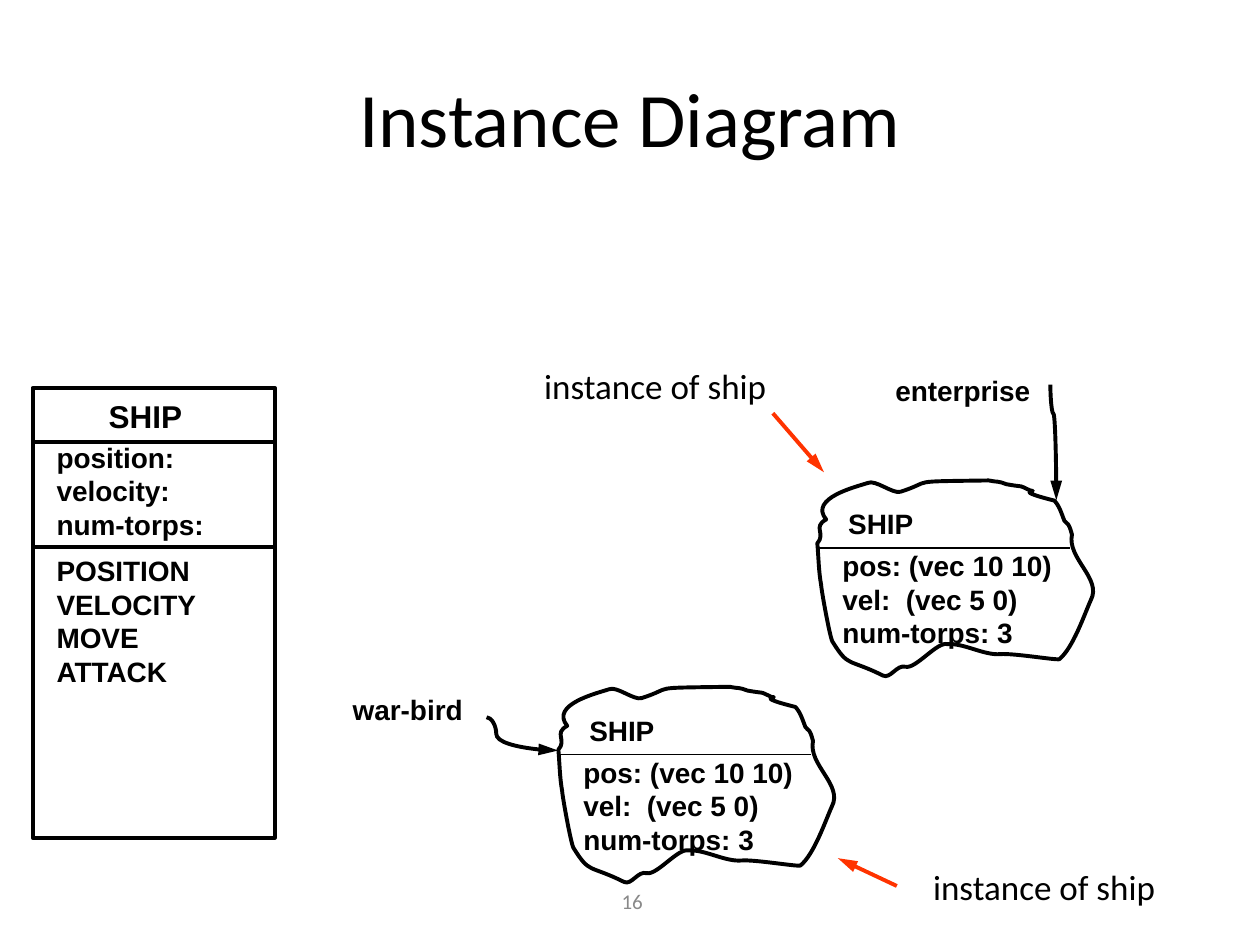
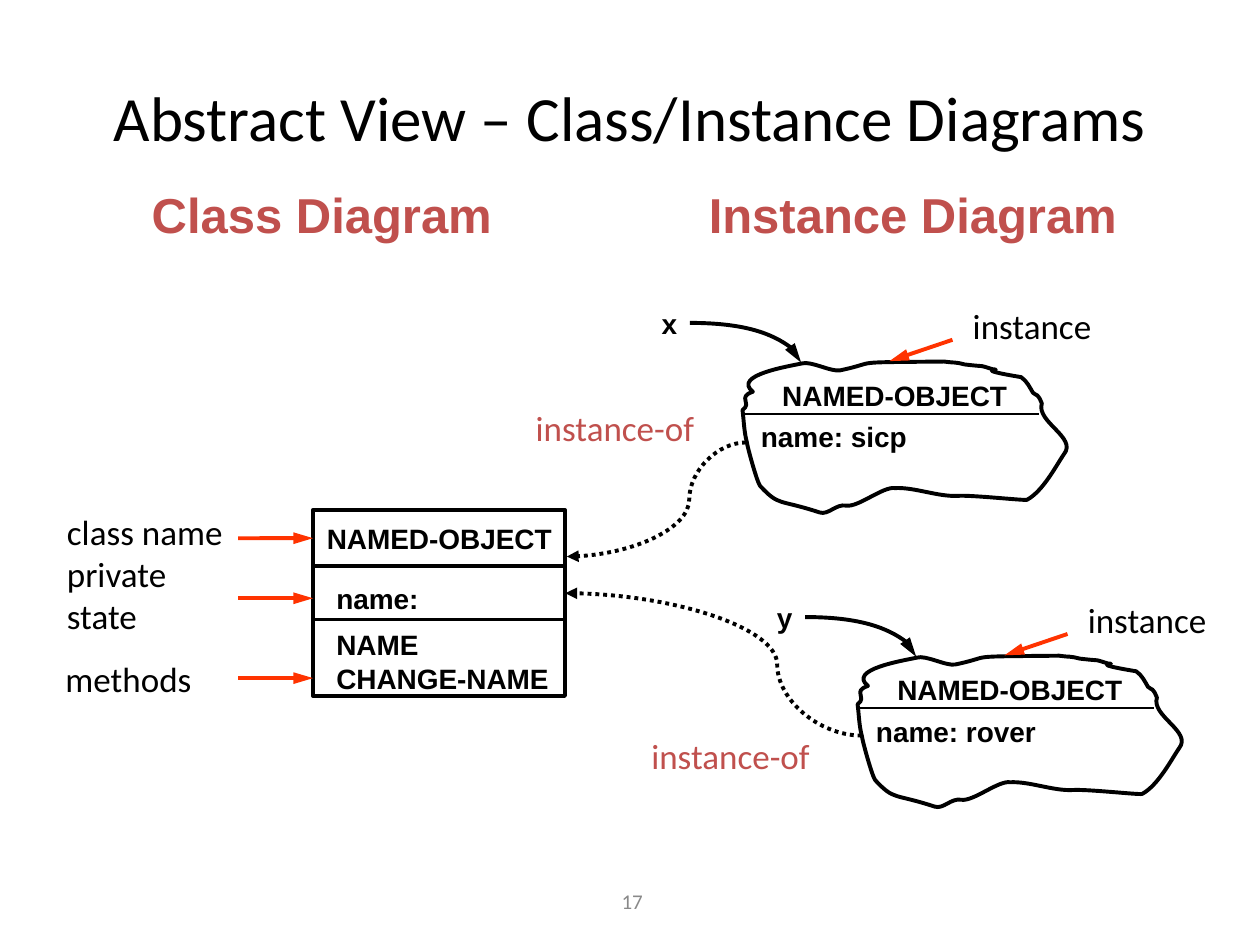
from lxml import etree
from pptx import Presentation
from pptx.dml.color import RGBColor
from pptx.enum.dml import MSO_LINE
from pptx.enum.shapes import MSO_CONNECTOR, MSO_SHAPE
from pptx.enum.text import MSO_ANCHOR, PP_ALIGN
from pptx.oxml.ns import qn
from pptx.util import Cm, Pt

BLACK = RGBColor(0x00, 0x00, 0x00)
GREY = RGBColor(0x89, 0x89, 0x89)
BRICK = RGBColor(0xC0, 0x50, 0x4D)
ORANGE = RGBColor(0xFF, 0x33, 0x00)

STRAIGHT, CURVE = MSO_CONNECTOR.STRAIGHT, MSO_CONNECTOR.CURVE
RECTANGLE = MSO_SHAPE.RECTANGLE
DOTTED = MSO_LINE.ROUND_DOT
MIDDLE, TOP = MSO_ANCHOR.MIDDLE, MSO_ANCHOR.TOP
CENTER, LEFT = PP_ALIGN.CENTER, PP_ALIGN.LEFT

TITLE = {"name": "Calibri", "size": Pt(44)}
LONG_TITLE = {"name": "Calibri", "size": Pt(36)}
PAGE = {"name": "Calibri", "size": Pt(12)}
NOTE = {"name": "Calibri", "size": Pt(20)}
HEADING = {"name": "Arial", "size": Pt(28), "bold": True}
CLASS_NAME = {"name": "Arial", "size": Pt(18), "bold": True}
MEMBER = {"name": "Arial", "size": Pt(16), "bold": True}
THICK, THIN = Pt(2.25), Pt(1)

# Instance outline on a 233 x 158 grid: a start, then three points per curve
OUTLINE_SIZE = (233, 158)
OUTLINE = [
    (73, 10),
    (67, 12), (53, 0), (47, 3), (38, 6), (0, 15), (14, 32),
    (3, 38), (14, 43), (7, 51), (8, 62), (8, 73), (10, 84),
    (10, 87), (17, 126), (19, 129), (32, 150), (31, 142), (59, 156),
    (65, 159), (70, 147), (77, 149), (85, 151), (102, 129), (110, 131),
    (123, 130), (139, 140), (152, 139), (162, 138), (197, 144), (199, 143),
    (210, 134), (219, 107), (224, 96), (233, 79), (205, 63), (209, 44),
    (206, 33), (206, 37), (203, 33), (201, 28), (199, 21), (195, 17),
    (159, 8), (185, 10), (176, 9), (165, 4), (174, 7), (157, 4),
    (154, 3), (152, 2), (150, 2), (148, 2), (143, 1), (143, 1),
    (75, 2), (101, 1), (73, 10),
]


def write(slide, text, x, y, w, h, style, color=BLACK, align=LEFT, anchor=TOP,
          tabs=()):
    frame = slide.shapes.add_textbox(Cm(x), Cm(y), Cm(w), Cm(h)).text_frame
    frame.word_wrap = True
    frame.vertical_anchor = anchor
    frame.text = text
    for paragraph in frame.paragraphs:
        paragraph.alignment = align
        if tabs:
            stops = etree.SubElement(paragraph._p.get_or_add_pPr(), qn("a:tabLst"))
            for tab in tabs:
                etree.SubElement(stops, qn("a:tab"), pos=str(Cm(tab)), algn="l")
        for key, value in style.items():
            setattr(paragraph.font, key, value)
        paragraph.font.color.rgb = color


def connect(slide, start, end, color=BLACK, width=THICK, head="lg",
            dash=None, preset=None, bend=None, turn=0):
    link = slide.shapes.add_connector(CURVE if preset else STRAIGHT,
                                      *map(Cm, start + end))
    link.line.color.rgb = color
    link.line.width = width
    if dash:
        link.line.dash_style = dash
    properties = link._element.spPr
    if head:
        etree.SubElement(properties.find(qn("a:ln")), qn("a:tailEnd"),
                         type="triangle", w="med", len=head)
    if preset:
        geometry = properties.find(qn("a:prstGeom"))
        geometry.set("prst", preset)
        if bend:
            etree.SubElement(geometry.find(qn("a:avLst")), qn("a:gd"),
                             name="adj1", fmla=f"val {bend}")
    if turn:
        properties.find(qn("a:xfrm")).set("rot", str(turn * 60000))
    etree.SubElement(properties, qn("a:effectLst"))
    return link


deck = Presentation()
deck.slide_width, deck.slide_height = Cm(25.4), Cm(19.05)

# Titles and page numbers
slides = []
for number, title, title_style in [
    (16, "Instance Diagram", TITLE),
    (17, "Abstract View – Class/Instance Diagrams", LONG_TITLE),
]:
    slide = deck.slides.add_slide(deck.slide_layouts[6])
    write(slide, title, 1.27, 0.75, 22.86, 3.2, title_style, BLACK, CENTER, MIDDLE)
    write(slide, str(number), 8.72, 17.65, 8.05, 1.02, PAGE, GREY, CENTER, MIDDLE)
    slides.append(slide)
ships, objects = slides

# Class boxes: compartment heights, then text with its place and style
class_diagrams = [
    (ships, 0.66, 7.82, 4.88, [
        (1.1, "SHIP", 1.94, 7.87, CLASS_NAME),
        (2.1, "position:\nvelocity:\vnum-torps:", 0.89, 8.75, MEMBER),
        (5.87, "POSITION\nVELOCITY\nMOVE\nATTACK", 0.89, 11.04, MEMBER),
    ]),
    (objects, 6.31, 10.28, 5.08, [
        (1.14, "NAMED-OBJECT", 6.34, 10.39, MEMBER),
        (1.07, "name:", 6.53, 11.6, MEMBER),
        (1.54, "NAME\vCHANGE-NAME", 6.53, 12.53, MEMBER),
    ]),
]
compartments = []
for slide, left, top, width, parts in class_diagrams:
    for height, text, text_x, text_y, style in parts:
        compartment = slide.shapes.add_shape(
            RECTANGLE, Cm(left), Cm(top), Cm(width), Cm(height))
        compartment.shadow.inherit = False
        compartment.fill.background()
        compartment.line.color.rgb = BLACK
        compartment.line.width = THICK
        compartments.append(compartment)
        write(slide, text, text_x, text_y, 5.4, height, style)
        top += height

# Instances: outline, class name, divider and state, placed from the corner
SHIP_LAYOUT = {"size": (5.92, 4.01), "name": (0.55, 0.43),
               "divider": (0.18, 1.39, 5.08), "state": (0.43, 1.28)}
OBJECT_LAYOUT = {"size": (6.96, 3.1), "name": (0.76, 0.23),
                 "divider": (0.2, 1.07, 5.99), "state": (0.33, 1.07)}
SHIP_STATE = "pos: (vec 10 10)\vvel:  (vec 5 0)\vnum-torps: 3"
instances = [
    (ships, 11.08, 13.82, SHIP_LAYOUT, "SHIP", SHIP_STATE),
    (ships, 16.3, 9.66, SHIP_LAYOUT, "SHIP", SHIP_STATE),
    (objects, 14.76, 7.27, OBJECT_LAYOUT, "NAMED-OBJECT", "name: sicp"),
    (objects, 17.08, 13.2, OBJECT_LAYOUT, "NAMED-OBJECT", "name: rover"),
]
for slide, left, top, layout, class_name, state in instances:
    scale_x, scale_y = (Cm(size) / grid
                        for size, grid in zip(layout["size"], OUTLINE_SIZE))
    points = [(x * scale_x, y * scale_y) for x, y in OUTLINE]
    builder = slide.shapes.build_freeform(*points[0])
    builder.add_line_segments(points[1:], close=True)
    outline = builder.convert_to_shape(Cm(left), Cm(top))
    outline.shadow.inherit = False
    outline.fill.background()
    outline.line.color.rgb = BLACK
    outline.line.width = THICK

    # Every three line points become one cubic curve
    segments = list(outline._element.iter(qn("a:lnTo")))
    for first in range(0, len(OUTLINE) - 1, 3):
        curve = etree.Element(qn("a:cubicBezTo"))
        segments[first].addprevious(curve)
        for segment in segments[first:first + 3]:
            curve.append(segment[0])
    for segment in segments:
        segment.getparent().remove(segment)

    name_x, name_y = layout["name"]
    write(slide, class_name, left + name_x, top + name_y, 5.4, 0.94, MEMBER)
    divider_x, divider_y, length = layout["divider"]
    start = (left + divider_x, top + divider_y)
    connect(slide, start, (start[0] + length, start[1]), width=THIN, head=None)
    state_x, state_y = layout["state"]
    write(slide, state, left + state_x, top + state_y, 6, 0.94, MEMBER)

# Variables and notes around each named object
for (slide, left, top, *_), variable in zip(instances[2:], "xy"):
    write(slide, variable, left - 1.67, top - 1.22, 0.9, 0.94, MEMBER)
    connect(slide, (left - 0.85, top - 0.76), (left + 1.39, top + 0.04),
            preset="curvedConnector2")
    write(slide, "instance", left + 4.6, top - 1.25, 3.1, 1.12, NOTE)
    connect(slide, (left + 4.44, top - 0.42), (left + 3.17, top + 0.01), ORANGE)

# Section headings
write(objects, "\tClass Diagram\tInstance Diagram", 1.7, 3.59, 21.5, 1.45,
      HEADING, BRICK, tabs=(1.11, 12.34))

# Remaining labels
for slide, text, x, y, w, style, color in [
    (ships, "enterprise", 17.8, 7.4, 3.5, MEMBER, BLACK),
    (ships, "war-bird", 6.86, 13.83, 3, MEMBER, BLACK),
    (ships, "instance of ship", 10.72, 7.22, 5.2, NOTE, BLACK),
    (ships, "instance of ship", 18.56, 17.32, 5.2, NOTE, BLACK),
    (objects, "class name", 1.1, 10.16, 3.9, NOTE, BLACK),
    (objects, "private\vstate", 1.1, 11.01, 4, NOTE, BLACK),
    (objects, "methods", 1.07, 13.13, 3.8, NOTE, BLACK),
    (objects, "instance-of", 10.55, 8.08, 3.9, NOTE, BRICK),
    (objects, "instance-of", 12.88, 14.69, 3.9, NOTE, BRICK),
]:
    write(slide, text, x, y, w, 1.12, style, color)

# Straight arrows from the notes
connect(ships, (15.58, 8.33), (16.61, 9.52), ORANGE)
connect(ships, (18.08, 17.86), (16.89, 17.3), ORANGE)
class_name_arrow, *_ = [
    connect(objects, (4.8, y), (6.31, y), ORANGE) for y in (10.85, 12.06, 13.67)
]
class_name_arrow.end_connect(compartments[3], 1)

# Curved arrows: variables to ships, objects to their class
S_CURVE = "curvedConnector3"
connect(ships, (22.4, 8.86), (20.07, 8.98), preset=S_CURVE, bend=25000, turn=270)
connect(ships, (9.81, 14.46), (11.25, 15.13), preset=S_CURVE, bend=13600)
for start, end, bend in [((15.04, 8.92), (11.43, 11.22), 31700),
                         ((17.37, 14.83), (11.4, 11.96), 28500)]:
    connect(objects, start, end, head="med", dash=DOTTED, preset=S_CURVE, bend=bend)

deck.save("out.pptx")
